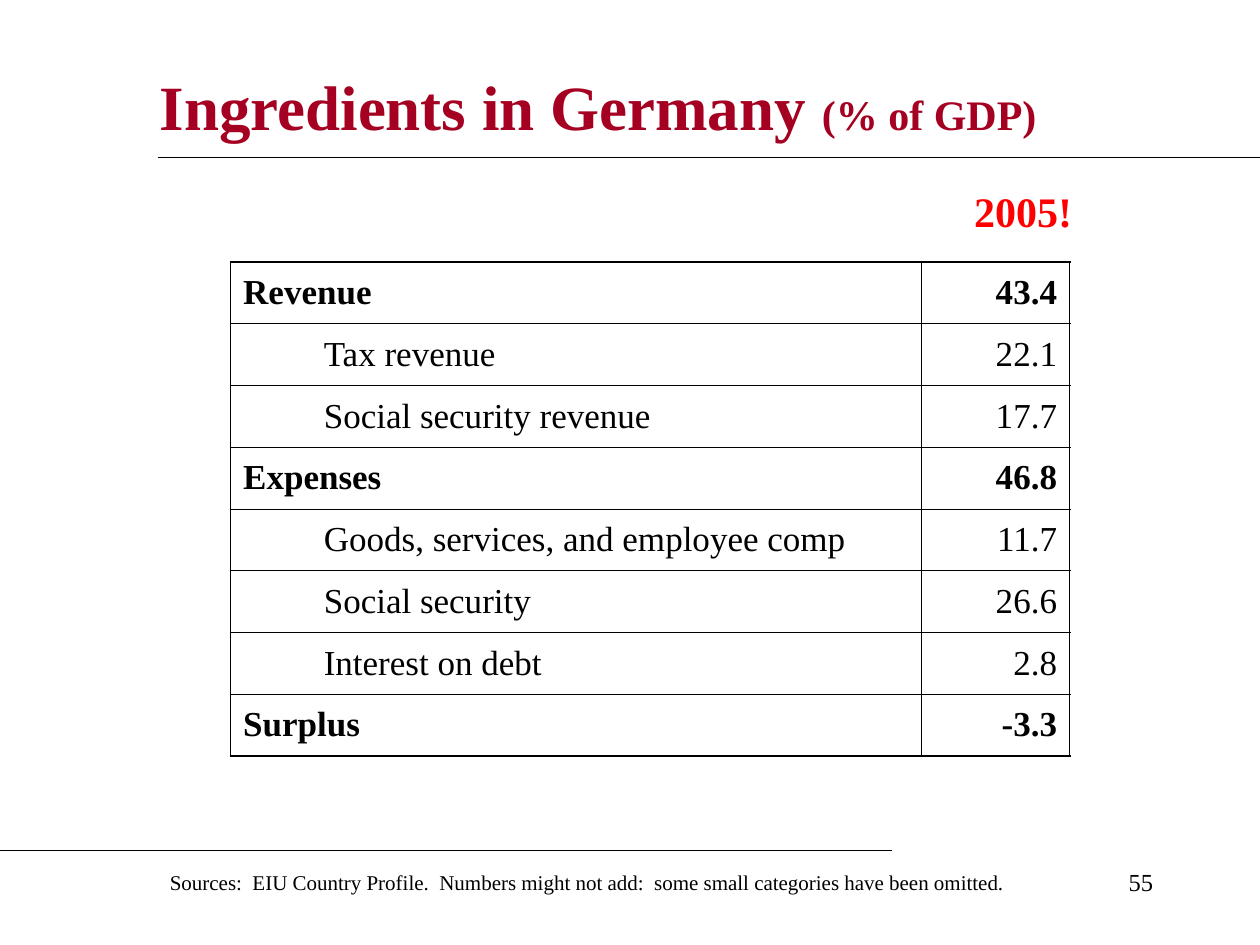
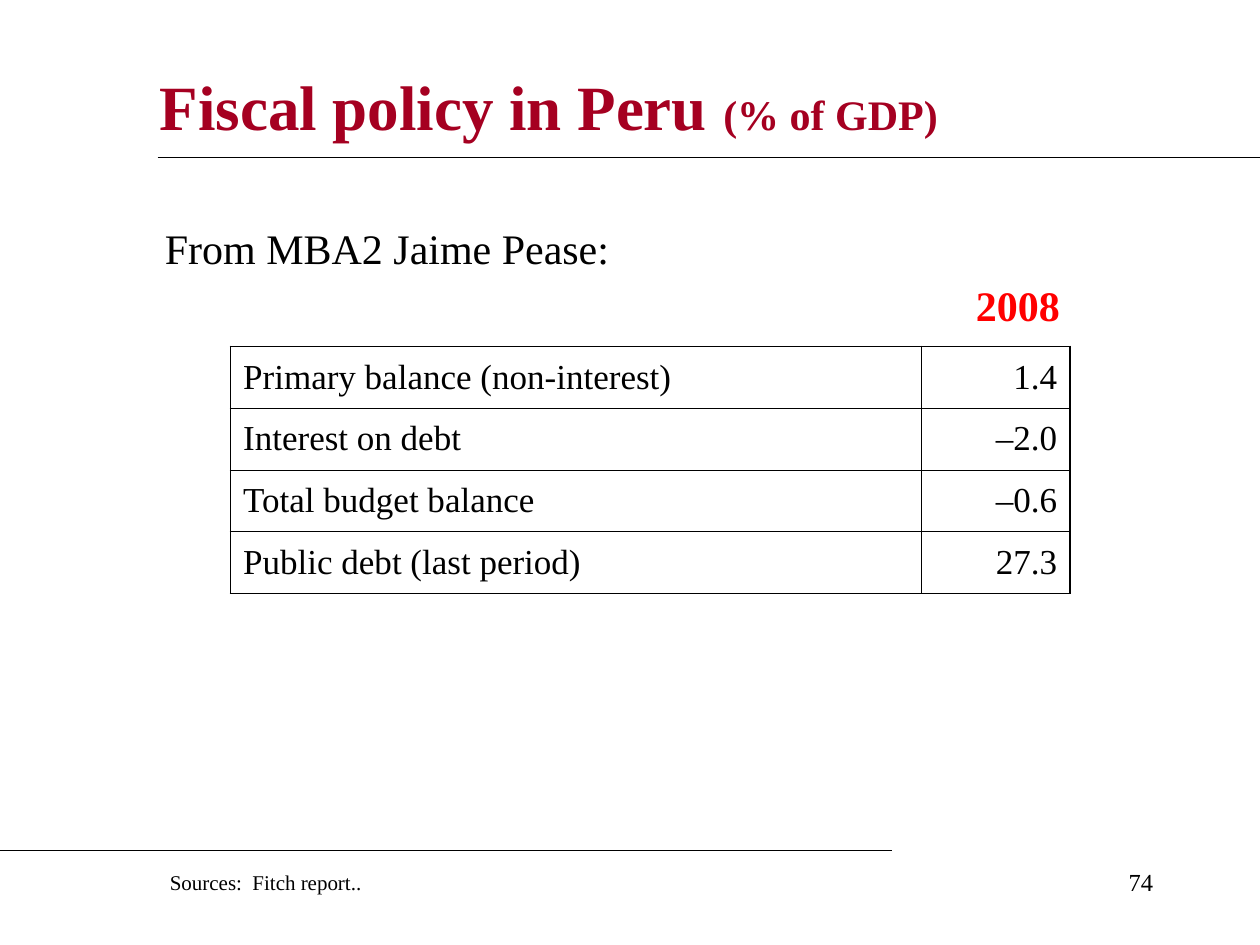
import pptx
import pptx.dml.color
import pptx.enum.shapes
import pptx.enum.text
import pptx.oxml
import pptx.oxml.ns
import pptx.util
from pptx.util import Inches

COLORS = {"title": "A50021", "text": "000000", "year": "FF0000"}
FONT = "Times New Roman"
ALIGN = pptx.enum.text.PP_ALIGN
MIDDLE = pptx.enum.text.MSO_ANCHOR.MIDDLE
TABLE_LEFT = 1.83
ROW_HEIGHT = 0.49
INDENT_WIDTH = 0.64
LABEL_WIDTH = 5.48
VALUE_WIDTH = 1.18
INNER_LINE = 0.45
OUTER_LINE = 1.08

GERMANY = [
    ("Revenue", "43.4", True),
    ("Tax revenue", "22.1", False),
    ("Social security revenue", "17.7", False),
    ("Expenses", "46.8", True),
    ("Goods, services, and employee comp", "11.7", False),
    ("Social security", "26.6", False),
    ("Interest on debt", "2.8", False),
    ("Surplus", "-3.3", True),
]
PERU = [
    ("Primary balance (non-interest)", "1.4"),
    ("Interest on debt", "–2.0"),
    ("Total budget balance", "–0.6"),
    ("Public debt (last period)", "27.3"),
]


def style_font(font, size, color="text", bold=False):
    font.name = FONT
    font.size = pptx.util.Pt(size)
    font.bold = bold
    font.color.rgb = pptx.dml.color.RGBColor.from_string(COLORS[color])


def add_text(slide, text, box, size, color="text", bold=False, align=ALIGN.LEFT):
    shape = slide.shapes.add_textbox(*map(Inches, box))
    shape.text_frame.word_wrap = True
    paragraph = shape.text_frame.paragraphs[0]
    paragraph.text = text
    paragraph.alignment = align
    style_font(paragraph.font, size, color, bold)
    return shape


def add_title(slide, title, unit):
    shape = add_text(slide, title, (1.17, 0.42, 8.5, 0.83), 36, "title", True)
    shape.text_frame.vertical_anchor = MIDDLE
    run = shape.text_frame.paragraphs[0].add_run()
    run.text = unit
    run.font.size = pptx.util.Pt(24)


def add_rule(slide, left, right, top):
    connector = slide.shapes.add_connector(
        pptx.enum.shapes.MSO_CONNECTOR.STRAIGHT,
        Inches(left), Inches(top), Inches(right), Inches(top))
    connector.line.width = pptx.util.Pt(0.75)
    connector.line.color.rgb = pptx.dml.color.RGBColor.from_string(COLORS["text"])
    properties = connector._element.spPr
    properties.append(pptx.oxml.parse_xml(
        f'<a:effectLst {pptx.oxml.ns.nsdecls("a")}/>'))


def add_slide(presentation, title, sources, number):
    slide = presentation.slides.add_slide(presentation.slide_layouts[6])
    add_title(slide, title, "(% of GDP)")
    add_rule(slide, 1.25, 10, 1.25)
    add_rule(slide, 0, 7.08, 6.75)
    add_text(slide, sources, (1.25, 6.85, 7.17, 0.3), 12)
    add_text(slide, number, (7.17, 6.83, 2.08, 0.5), 14, align=ALIGN.RIGHT)
    return slide


def set_borders(cell, widths):
    properties = cell._tc.get_or_add_tcPr()
    for position, (side, width) in enumerate(zip("LRTB", widths)):
        paint = (f'<a:solidFill><a:srgbClr val="{COLORS["text"]}"/></a:solidFill>'
                 if width else "<a:noFill/>")
        properties.insert(position, pptx.oxml.parse_xml(
            f'<a:ln{side} {pptx.oxml.ns.nsdecls("a")} '
            f'w="{pptx.util.Pt(width)}">{paint}</a:ln{side}>'))


def fill_cell(cell, text, bold, align):
    cell.vertical_anchor = MIDDLE
    paragraph = cell.text_frame.paragraphs[0]
    paragraph.text = text
    paragraph.alignment = align
    style_font(paragraph.font, 20, bold=bold)


def add_grid(slide, top, row_count, widths):
    table = slide.shapes.add_table(
        row_count, len(widths), Inches(TABLE_LEFT), Inches(top),
        Inches(sum(widths)), Inches(ROW_HEIGHT * row_count)).table
    table.first_row = table.horz_banding = False
    for column, width in zip(table.columns, widths):
        column.width = Inches(width)
    last_row, last_column = row_count - 1, len(widths) - 1
    for row in range(row_count):
        for column in range(len(widths)):
            cell = table.cell(row, column)
            cell.fill.background()
            left = OUTER_LINE if column == 0 else INNER_LINE if column == last_column else 0
            right = (OUTER_LINE if column == last_column
                     else INNER_LINE if column == last_column - 1 else 0)
            set_borders(cell, (left, right,
                               OUTER_LINE if row == 0 else INNER_LINE,
                               OUTER_LINE if row == last_row else INNER_LINE))
    return table


def add_plain_table(slide, top, rows):
    table = add_grid(slide, top, len(rows), [LABEL_WIDTH, VALUE_WIDTH])
    for index, (label, value) in enumerate(rows):
        fill_cell(table.cell(index, 0), label, False, ALIGN.LEFT)
        fill_cell(table.cell(index, 1), value, False, ALIGN.RIGHT)


def add_grouped_table(slide, top, rows):
    table = add_grid(slide, top, len(rows),
                     [INDENT_WIDTH, LABEL_WIDTH - INDENT_WIDTH, VALUE_WIDTH])
    for index, (label, value, is_total) in enumerate(rows):
        if is_total:
            table.cell(index, 0).merge(table.cell(index, 1))
            set_borders(table.cell(index, 0), ()) 
        fill_cell(table.cell(index, 0 if is_total else 1), label, is_total, ALIGN.LEFT)
        fill_cell(table.cell(index, 2), value, is_total, ALIGN.RIGHT)


def add_year(slide, year, left, top, align):
    add_text(slide, year, (left, top, 1.08, 0.5), 24, "year", True, align)


def main():
    presentation = pptx.Presentation()
    presentation.slide_width = Inches(10)
    presentation.slide_height = Inches(7.5)

    germany = add_slide(
        presentation, "Ingredients in Germany ",
        "Sources:  EIU Country Profile.  Numbers might not add:  "
        "some small categories have been omitted.", "55")
    add_grouped_table(germany, 2.08, GERMANY)
    add_year(germany, "2005!", 7.58, 1.42, ALIGN.CENTER)

    peru = add_slide(presentation, "Fiscal policy in Peru ",
                     "Sources:  Fitch report..", "74")
    add_plain_table(peru, 2.75, PERU)
    add_text(peru, "From MBA2 Jaime Pease:", (1.21, 1.72, 4.29, 0.5), 24)
    add_year(peru, "2008", 7.43, 2.17, ALIGN.RIGHT)

    presentation.save("out.pptx")


if __name__ == "__main__":
    main()
